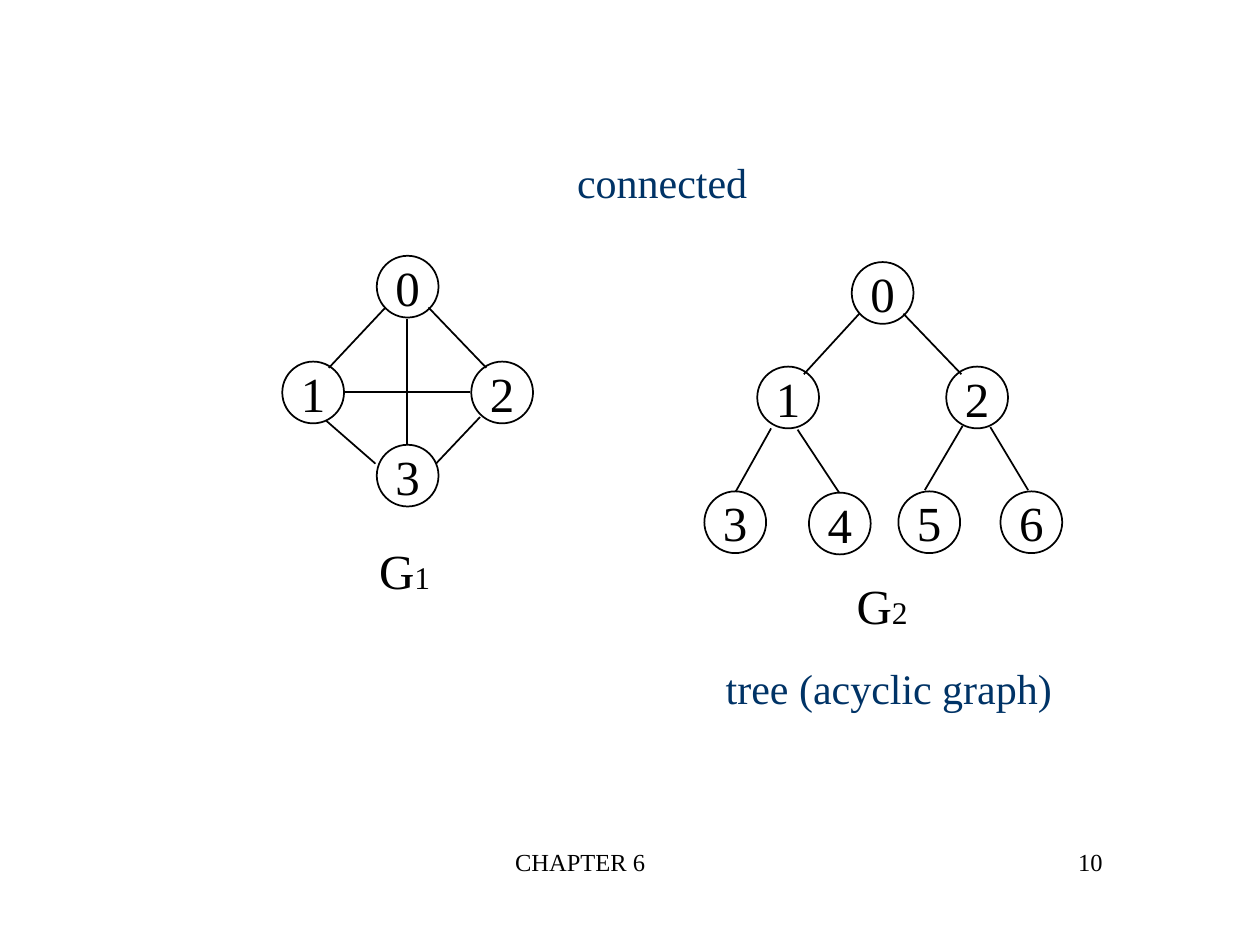
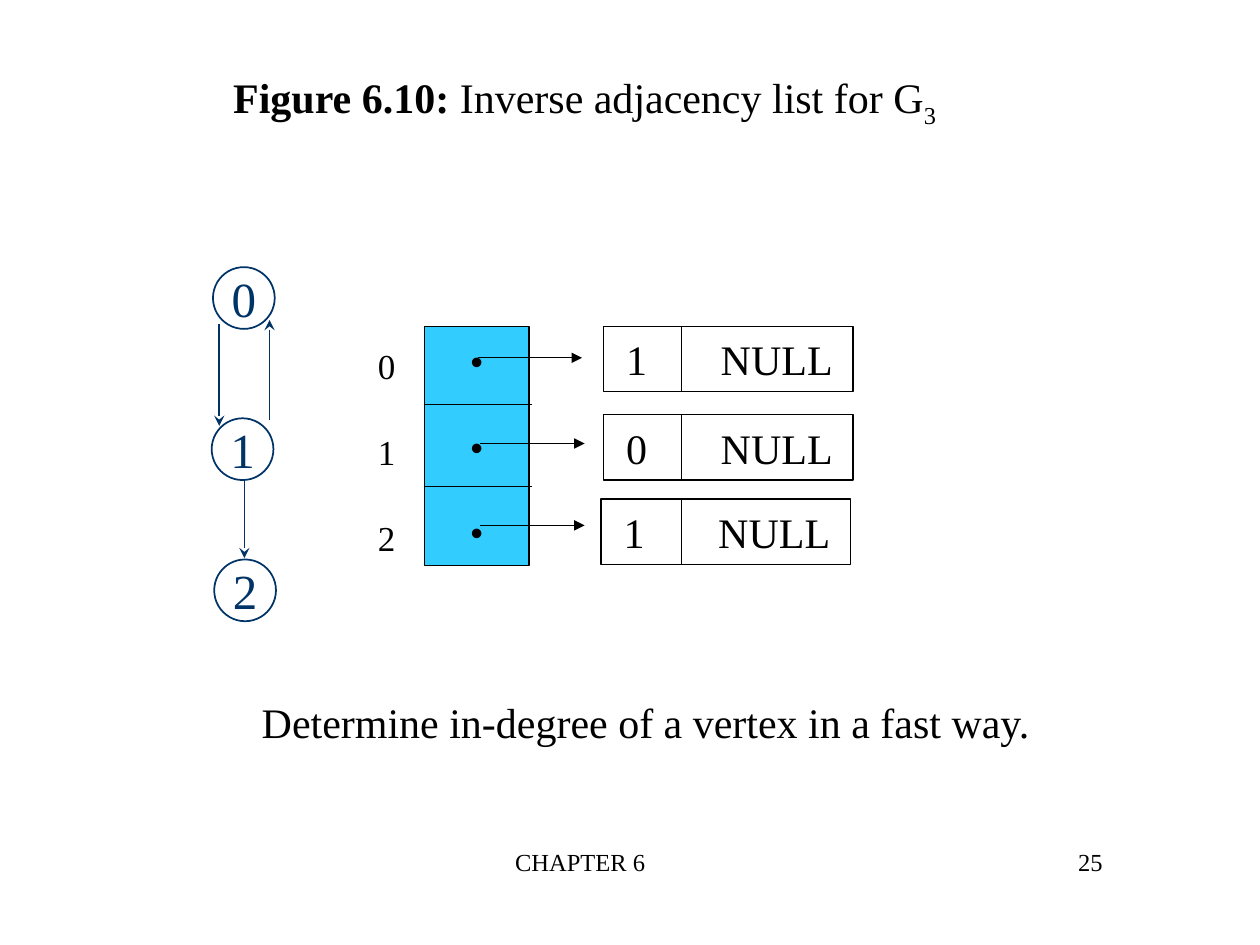
from dataclasses import dataclass

from lxml import etree
from pptx import Presentation
from pptx.dml.color import RGBColor
from pptx.enum.shapes import MSO_CONNECTOR, MSO_SHAPE
from pptx.enum.text import MSO_ANCHOR, PP_ALIGN
from pptx.oxml.ns import qn
from pptx.util import Inches, Pt

LEFT, CENTER, RIGHT = PP_ALIGN.LEFT, PP_ALIGN.CENTER, PP_ALIGN.RIGHT
TOP, MIDDLE = MSO_ANCHOR.TOP, MSO_ANCHOR.MIDDLE
OVAL, RECT = MSO_SHAPE.OVAL, MSO_SHAPE.RECTANGLE
STRAIGHT = MSO_CONNECTOR.STRAIGHT

BLACK, WHITE, NAVY, SKY = "000000", "FFFFFF", "003366", "33CCFF"
SERIF, SANS = "Times New Roman", "Arial"
TITLE_ONLY, BLANK = 5, 6
NODE_SIZE = 0.49
ROW_GAP = 25  # points between the rows of the vertex array


@dataclass(frozen=True)
class Run:
    text: str
    size: float
    color: str = BLACK
    font: str = SERIF
    bold: bool = False
    subscript: bool = False


@dataclass(frozen=True)
class Box:
    x: float
    y: float
    w: float
    h: float

    def emu(self) -> tuple:
        return Inches(self.x), Inches(self.y), Inches(self.w), Inches(self.h)


@dataclass(frozen=True)
class Node:
    label: str
    x: float
    y: float


@dataclass(frozen=True)
class Edge:
    x1: float
    y1: float
    x2: float
    y2: float


@dataclass(frozen=True)
class ListEntry:
    vertex: str
    x: float
    y: float


G1_NODES = [Node("0", 2.99, 2.03), Node("1", 2.24, 2.87),
            Node("2", 3.74, 2.87), Node("3", 2.99, 3.53)]
G1_EDGES = [Edge(3.23, 2.53, 3.23, 3.53), Edge(2.73, 3.11, 3.73, 3.11),
            Edge(3.06, 2.44, 2.61, 2.92), Edge(3.4, 2.44, 3.86, 2.92),
            Edge(2.59, 3.34, 2.98, 3.68), Edge(3.81, 3.31, 3.46, 3.68)]
G2_NODES = [Node("0", 6.76, 2.08), Node("1", 6.01, 2.91), Node("2", 7.51, 2.91),
            Node("3", 5.59, 3.9), Node("4", 6.42, 3.91),
            Node("5", 7.13, 3.9), Node("6", 7.94, 3.9)]
G2_EDGES = [Edge(6.82, 2.49, 6.38, 2.97), Edge(7.17, 2.49, 7.63, 2.97),
            Edge(6.12, 3.4, 5.84, 3.9), Edge(6.33, 3.41, 6.66, 3.91),
            Edge(7.64, 3.38, 7.34, 3.89), Edge(7.86, 3.39, 8.16, 3.89)]
G3_NODES = [Node("0", 1.69, 2.12), Node("1", 1.68, 3.32), Node("2", 1.7, 4.44)]
G3_EDGES = [Edge(1.94, 3.82, 1.94, 4.43), Edge(2.14, 3.33, 2.14, 2.54),
            Edge(1.74, 2.57, 1.74, 3.38)]

VERTEX_ARRAY = Box(3.37, 2.59, 0.83, 1.9)
ARRAY_DIVIDERS = [3.21, 3.86]
POINTERS = [Edge(3.79, 2.84, 4.62, 2.84), Edge(3.81, 3.52, 4.64, 3.52),
            Edge(3.81, 4.17, 4.64, 4.17)]
LIST_ENTRIES = [ListEntry("1", 4.79, 2.59), ListEntry("0", 4.79, 3.29),
                ListEntry("1", 4.77, 3.96)]
ENTRY_W, ENTRY_H, ENTRY_DIVIDER_X = 1.98, 0.52, 5.41


def rgb(color: str) -> RGBColor:
    return RGBColor.from_string(color)


def add_runs(p, runs: list[Run]) -> None:
    for run in runs:
        r = p.add_run()
        r.text = run.text
        r.font.name = run.font
        r.font.size = Pt(run.size)
        r.font.bold = run.bold
        r.font.color.rgb = rgb(run.color)
        if run.subscript:
            r.font._element.set("baseline", "-25000")


def write(tf, lines: list[list[Run]], align=LEFT, anchor=MIDDLE,
          wrap: bool = False, gap: float = 0) -> None:
    """Fill a text frame, one list of runs per paragraph."""
    tf.word_wrap = wrap
    tf.vertical_anchor = anchor
    for i, runs in enumerate(lines):
        p = tf.add_paragraph() if i else tf.paragraphs[0]
        p.alignment = align
        if i:
            p.space_before = Pt(gap)
        add_runs(p, runs)


def add_text(slide, box: Box, lines: list[list[Run]], **style) -> None:
    write(slide.shapes.add_textbox(*box.emu()).text_frame, lines, **style)


def add_shape(slide, kind, box: Box, fill: str, line: str, width: float):
    sp = slide.shapes.add_shape(kind, *box.emu())
    sp.shadow.inherit = False
    sp.fill.solid()
    sp.fill.fore_color.rgb = rgb(fill)
    sp.line.color.rgb = rgb(line)
    sp.line.width = Pt(width)
    return sp


def add_line(slide, edge: Edge, color: str = BLACK, width: float = 1,
             head: str = "") -> None:
    """Draw a straight edge; head names the arrowhead at its end."""
    cxn = slide.shapes.add_connector(STRAIGHT, Inches(edge.x1), Inches(edge.y1),
                                     Inches(edge.x2), Inches(edge.y2))
    cxn.line.color.rgb = rgb(color)
    cxn.line.width = Pt(width)
    if head:
        etree.SubElement(cxn.line._get_or_add_ln(), qn("a:tailEnd"), type=head)
    etree.SubElement(cxn._element.spPr, qn("a:effectLst"))


def add_graph(slide, nodes: list[Node], edges: list[Edge],
              color: str = BLACK, head: str = "") -> None:
    for node in nodes:
        box = Box(node.x, node.y, NODE_SIZE, NODE_SIZE)
        sp = add_shape(slide, OVAL, box, WHITE, color, 1)
        write(sp.text_frame, [[Run(node.label, 28, color)]], CENTER)
    for edge in edges:
        add_line(slide, edge, color, head=head)


def add_list_entry(slide, entry: ListEntry) -> None:
    box = Box(entry.x, entry.y, ENTRY_W, ENTRY_H)
    tf = add_shape(slide, RECT, box, WHITE, BLACK, 0.75).text_frame
    tf.margin_left = Inches(0.18)
    pPr = tf.paragraphs[0]._p.get_or_add_pPr()
    tabs = etree.SubElement(pPr, qn("a:tabLst"))
    etree.SubElement(tabs, qn("a:tab"), pos=str(Inches(0.75)), algn="l")
    write(tf, [[Run(f"{entry.vertex}\tNULL", 24)]], wrap=True)
    x = ENTRY_DIVIDER_X
    add_line(slide, Edge(x, entry.y, x, entry.y + ENTRY_H), width=0.75)


def add_slide(prs, layout: int, number: int):
    """Add a slide with the chapter footer and its page number."""
    slide = prs.slides.add_slide(prs.slide_layouts[layout])
    for box, text, align in ((Box(3.02, 6.67, 3.17, 0.5), "CHAPTER 6", CENTER),
                             (Box(6.77, 6.67, 2.08, 0.5), str(number), RIGHT)):
        add_text(slide, box, [[Run(text, 14)]], align=align, anchor=TOP, wrap=True)
    return slide


def build_connected_graphs(prs) -> None:
    slide = add_slide(prs, BLANK, 10)
    add_graph(slide, G1_NODES, G1_EDGES)
    add_graph(slide, G2_NODES, G2_EDGES)
    for index, x, y in (("1", 2.91, 4.24), ("2", 6.7, 4.52)):
        add_text(slide, Box(x, y, 0.61, 0.57),
                 [[Run("G", 28), Run(index, 18)]], anchor=TOP)
    for text, box in (("connected", Box(4.48, 1.19, 1.55, 0.5)),
                      ("tree (acyclic graph)", Box(5.66, 5.21, 2.79, 0.5))):
        add_text(slide, box, [[Run(text, 24, NAVY)]], align=CENTER)


def build_inverse_adjacency(prs) -> None:
    slide = add_slide(prs, TITLE_ONLY, 25)
    title = slide.shapes.title
    title.left, title.top, title.width, title.height = Box(0.39, 0.34, 8.5, 0.91).emu()
    write(title.text_frame, [[Run("Figure 6.10: ", 24, bold=True),
                              Run("Inverse adjacency list for G", 24),
                              Run("3", 24, subscript=True)]], CENTER, wrap=True)

    array = add_shape(slide, RECT, VERTEX_ARRAY, SKY, BLACK, 0.75)
    write(array.text_frame, [[Run("•", 20, font=SANS)] for _ in POINTERS],
          CENTER, gap=ROW_GAP)
    for y in ARRAY_DIVIDERS:
        add_line(slide, Edge(VERTEX_ARRAY.x, y, 4.22, y), width=0.75)
    for pointer in POINTERS:
        add_line(slide, pointer, width=0.75, head="triangle")
    add_text(slide, Box(2.9, 2.7, 0.34, 1.77),
             [[Run(node.label, 20)] for node in G3_NODES], gap=ROW_GAP)
    for entry in LIST_ENTRIES:
        add_list_entry(slide, entry)

    add_graph(slide, G3_NODES, G3_EDGES, NAVY, "stealth")
    add_text(slide, Box(1.97, 5.48, 6.31, 0.5),
             [[Run("Determine in-degree of a vertex in a fast way.", 24)]],
             align=CENTER)


def main() -> None:
    prs = Presentation()
    prs.slide_width, prs.slide_height = Inches(10), Inches(7.5)
    build_connected_graphs(prs)
    build_inverse_adjacency(prs)
    prs.save("out.pptx")


if __name__ == "__main__":
    main()
